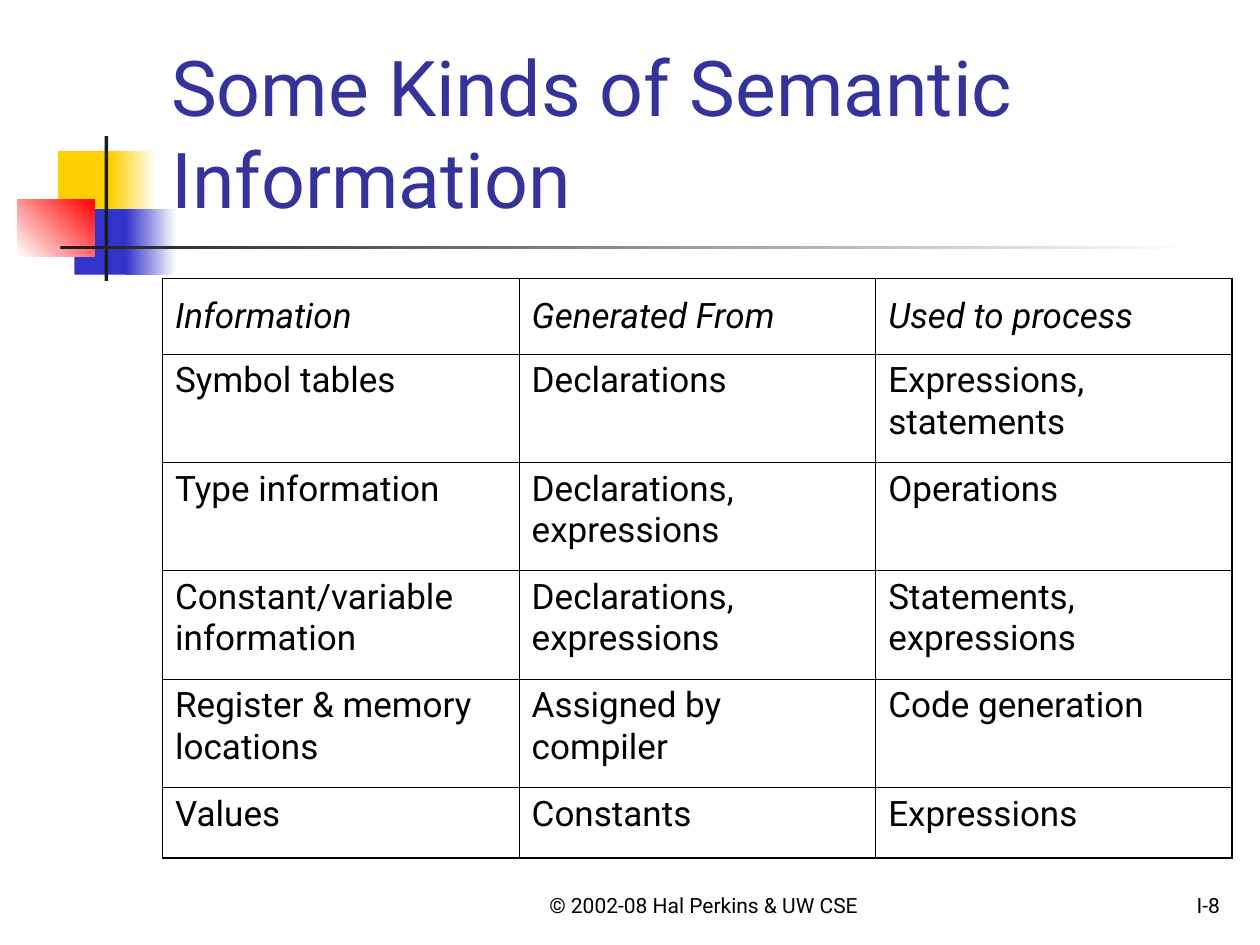
from dataclasses import dataclass
from typing import Optional

from pptx import Presentation
from pptx.dml.color import RGBColor
from pptx.enum.shapes import MSO_SHAPE
from pptx.enum.text import MSO_ANCHOR, MSO_AUTO_SIZE, PP_ALIGN
from pptx.oxml.ns import qn
from pptx.util import Inches, Pt
from lxml.etree import SubElement

FONT = "Roboto"
BLACK = RGBColor(0, 0, 0)
WHITE = RGBColor(255, 255, 255)
INK = RGBColor(0x1C, 0x1C, 0x1C)
GOLD = RGBColor(0xFF, 0xCF, 0x01)
BLUE = RGBColor(0x33, 0x33, 0xCC)
RED = RGBColor(255, 0, 0)
NAVY = RGBColor(0x33, 0x33, 0x99)
THICK, THIN = Pt(1.08), Pt(0.45)


@dataclass
class Block:
    left: float
    top: float
    width: float
    height: float
    color: RGBColor
    fade: Optional[RGBColor] = None
    angle: int = 0


@dataclass
class Label:
    text: str
    left: float
    width: float
    align: PP_ALIGN


BLOCKS = [
    Block(0.46, 1.2, 0.48, 0.52, GOLD),
    Block(0.88, 1.2, 0.36, 0.52, GOLD, WHITE),
    Block(0.59, 1.66, 0.46, 0.52, BLUE),
    Block(1, 1.66, 0.4, 0.52, BLUE, WHITE),
    Block(0.14, 1.58, 0.61, 0.46, WHITE, RED, 45),
    Block(0.83, 1.08, 0.03, 1.15, INK),
    Block(0.48, 1.95, 9, 0.03, INK, WHITE),
]
LABELS = [
    Label("© 2002-08 Hal Perkins & UW CSE", 4, 3.17, PP_ALIGN.CENTER),
    Label("I-8", 7.7, 2.08, PP_ALIGN.RIGHT),
]
ROWS = [
    ("Information", "Generated From", "Used to process"),
    ("Symbol tables", "Declarations", "Expressions, statements"),
    ("Type information", "Declarations, expressions", "Operations"),
    ("Constant/variable information", "Declarations, expressions",
     "Statements, expressions"),
    ("Register & memory locations", "Assigned by compiler", "Code generation"),
    ("Values", "Constants", "Expressions"),
]
HEIGHTS = [0.6, 0.86, 0.86, 0.86, 0.86, 0.56]
COL_WIDTH = 2.83


def style(para, size: float, color: RGBColor) -> None:
    para.font.name = FONT
    para.font.size = Pt(size)
    para.font.color.rgb = color


def draw_block(slide, block: Block) -> None:
    shape = slide.shapes.add_shape(
        MSO_SHAPE.RECTANGLE, Inches(block.left), Inches(block.top),
        Inches(block.width), Inches(block.height))
    shape.shadow.inherit = False
    shape.line.fill.background()
    if block.fade is None:
        shape.fill.solid()
        shape.fill.fore_color.rgb = block.color
    else:
        shape.fill.gradient()
        shape.fill.gradient_angle = block.angle
        first, last = shape.fill.gradient_stops
        first.color.rgb, last.color.rgb = block.color, block.fade
        first.position, last.position = 0, 1


def draw_label(slide, label: Label) -> None:
    box = slide.shapes.add_textbox(
        Inches(label.left), Inches(6.83), Inches(label.width), Inches(0.5))
    frame = box.text_frame
    frame.word_wrap = True
    frame.vertical_anchor = MSO_ANCHOR.BOTTOM
    frame.text = label.text
    para = frame.paragraphs[0]
    para.alignment = label.align
    style(para, 12, BLACK)


def set_title(slide, text: str) -> None:
    title = slide.shapes.title
    title.left, title.top = Inches(1.26), Inches(0.23)
    title.width, title.height = Inches(8.52), Inches(1.6)
    frame = title.text_frame
    frame.text = text
    frame.word_wrap = True
    frame.auto_size = MSO_AUTO_SIZE.NONE
    frame.vertical_anchor = MSO_ANCHOR.BOTTOM
    para = frame.paragraphs[0]
    para.alignment = PP_ALIGN.LEFT
    style(para, 44, NAVY)
    slide.shapes._spTree.append(title._element)


def set_edges(cell, outer: dict[str, bool]) -> None:
    props = cell._tc.get_or_add_tcPr()
    for side, thick in outer.items():
        line = SubElement(props, qn(f"a:ln{side}"), w=str(THICK if thick else THIN))
        fill = SubElement(line, qn("a:solidFill"))
        SubElement(fill, qn("a:srgbClr"), val=str(BLACK))


def draw_table(slide) -> None:
    last_row, last_col = len(ROWS) - 1, len(ROWS[0]) - 1
    table = slide.shapes.add_table(
        len(ROWS), len(ROWS[0]), Inches(1.29), Inches(2.21),
        Inches(COL_WIDTH * len(ROWS[0])), Inches(sum(HEIGHTS))).table
    table.first_row = table.horz_banding = False
    for col in table.columns:
        col.width = Inches(COL_WIDTH)
    for r, (texts, height) in enumerate(zip(ROWS, HEIGHTS)):
        table.rows[r].height = Inches(height)
        for c, text in enumerate(texts):
            cell = table.cell(r, c)
            cell.text = text
            cell.vertical_anchor = MSO_ANCHOR.TOP if r else MSO_ANCHOR.MIDDLE
            set_edges(cell, {"L": c == 0, "R": c == last_col,
                             "T": r == 0, "B": r == last_row})
            cell.fill.background()
            para = cell.text_frame.paragraphs[0]
            style(para, 20, BLACK)
            para.font.italic = r == 0


def main() -> None:
    deck = Presentation()
    deck.slide_width, deck.slide_height = Inches(10), Inches(7.5)
    slide = deck.slides.add_slide(deck.slide_layouts[5])
    for block in BLOCKS:
        draw_block(slide, block)
    for label in LABELS:
        draw_label(slide, label)
    set_title(slide, "Some Kinds of Semantic Information")
    draw_table(slide)
    deck.save("out.pptx")


if __name__ == "__main__":
    main()
